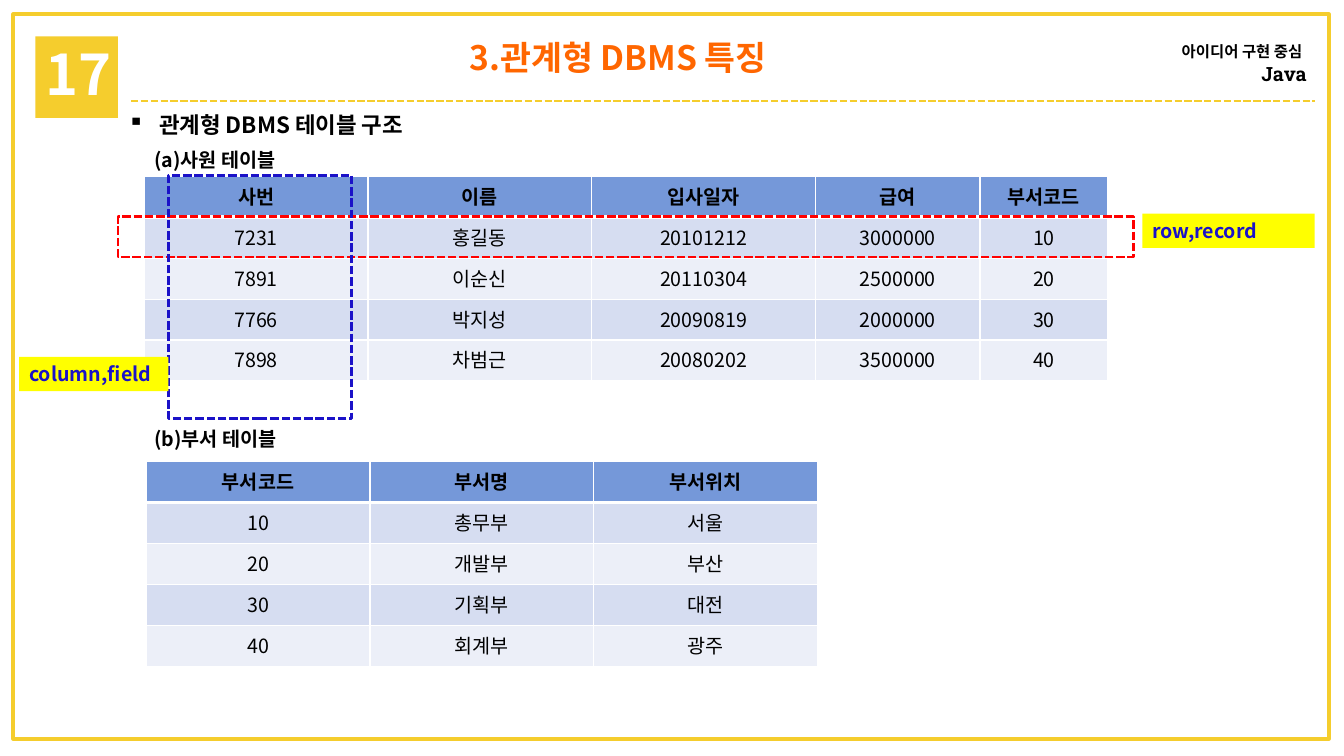
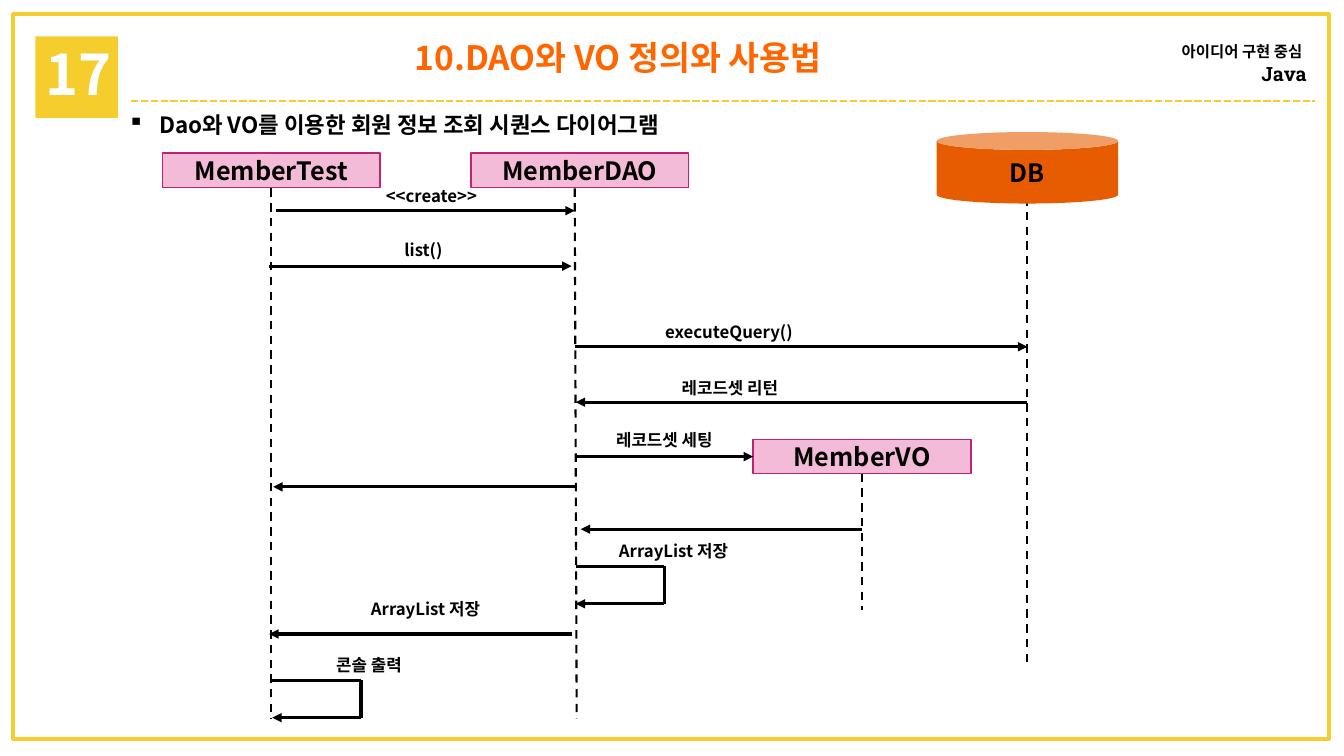
from lxml import etree
from pptx import Presentation
from pptx.dml.color import RGBColor
from pptx.enum.dml import MSO_LINE
from pptx.enum.shapes import MSO_CONNECTOR, MSO_SHAPE
from pptx.enum.text import MSO_ANCHOR, PP_ALIGN
from pptx.oxml.ns import qn
from pptx.util import Inches, Pt

RECT, CAN = MSO_SHAPE.RECTANGLE, MSO_SHAPE.CAN
STRAIGHT = MSO_CONNECTOR.STRAIGHT
DASH, DOTS = MSO_LINE.DASH, MSO_LINE.SQUARE_DOT
LEFT, MID, RIGHT = PP_ALIGN.LEFT, PP_ALIGN.CENTER, PP_ALIGN.RIGHT
TOP, CENTER = MSO_ANCHOR.TOP, MSO_ANCHOR.MIDDLE

SANS, SLAB = "Noto Sans CJK KR", "Roboto Slab"
BLACK = RGBColor(0x00, 0x00, 0x00)
WHITE = RGBColor(0xFF, 0xFF, 0xFF)
GOLD = RGBColor(0xF5, 0xCD, 0x2D)
ORANGE = RGBColor(0xFF, 0x66, 0x00)
RED = RGBColor(0xFF, 0x00, 0x00)
BLUE = RGBColor(0x1B, 0x12, 0xC8)
YELLOW = RGBColor(0xFF, 0xFF, 0x00)
HEAD = RGBColor(0x75, 0x98, 0xD9)
BANDS = [RGBColor(0xD6, 0xDD, 0xF1), RGBColor(0xEC, 0xEF, 0xF8)]
PINK = RGBColor(0xF3, 0xBB, 0xD7)
ROSE = RGBColor(0xBF, 0x23, 0x71)
RUST = RGBColor(0xE7, 0x5C, 0x01)

ROW = 0.406

STAFF = [
    ["사번", "이름", "입사일자", "급여", "부서코드"],
    ["7231", "홍길동", "20101212", "3000000", "10"],
    ["7891", "이순신", "20110304", "2500000", "20"],
    ["7766", "박지성", "20090819", "2000000", "30"],
    ["7898", "차범근", "20080202", "3500000", "40"],
]
DEPTS = [
    ["부서코드", "부서명", "부서위치"],
    ["10", "총무부", "서울"],
    ["20", "개발부", "부산"],
    ["30", "기획부", "대전"],
    ["40", "회계부", "광주"],
]

# Lifelines: top x, top y, bottom x, bottom y
LIVES = [(2.69, 1.87, 2.69, 7.13), (5.7, 1.87, 5.72, 7.13),
         (10.19, 1.81, 10.19, 6.6), (8.55, 4.7, 8.55, 6.05)]
# Calls: start x, end x, y
CALLS = [(2.74, 5.7, 2.09), (2.67, 5.67, 2.64), (5.7, 10.19, 3.44),
         (10.19, 5.71, 3.99), (5.71, 7.47, 4.53), (5.72, 2.71, 4.83),
         (8.55, 5.76, 5.25), (5.67, 2.67, 6.29)]
# Captions: text, left, top
NOTES = [("<<create>>", 2.8, 1.79), ("list()", 2.72, 2.33),
         ("executeQuery()", 5.75, 3.14), ("레코드셋 리턴", 5.76, 3.7),
         ("레코드셋 세팅", 5.11, 4.21), ("ArrayList 저장", 5.2, 5.32),
         ("ArrayList 저장", 2.74, 5.89), ("콘솔 출력", 2.18, 6.45)]


def inch(vals):
    return [Inches(v) for v in vals]


def style(run, size, color=BLACK, bold=True, face=SANS):
    font = run.font
    font.size, font.bold, font.name = Pt(size), bold, face
    font.color.rgb = color
    etree.SubElement(run._r.get_or_add_rPr(), qn("a:ea"), typeface=face)


def write(frame, text, size, color=BLACK, align=LEFT, anchor=TOP, bold=True):
    frame.word_wrap = True
    frame.vertical_anchor = anchor
    para = frame.paragraphs[0]
    para.text = text
    para.alignment = align
    style(para.runs[0], size, color, bold)
    return para


def label(slide, box, text, size, color=BLACK, align=LEFT):
    frame = slide.shapes.add_textbox(*inch(box)).text_frame
    return write(frame, text, size, color, align)


def shape(slide, box, fill=None, edge=None, width=1, dash=None, kind=RECT):
    item = slide.shapes.add_shape(kind, *inch(box))
    item.shadow.inherit = False
    if fill is None:
        item.fill.background()
    else:
        item.fill.solid()
        item.fill.fore_color.rgb = fill
    if edge is None:
        item.line.fill.background()
    else:
        item.line.color.rgb = edge
        item.line.width = Pt(width)
        item.line.dash_style = dash
    return item


def line(slide, ends, color=BLACK, width=2.25, dash=None, arrow=False):
    item = slide.shapes.add_connector(STRAIGHT, *inch(ends))
    item.line.color.rgb = color
    item.line.width = Pt(width)
    item.line.dash_style = dash
    if arrow:
        etree.SubElement(item.line._get_or_add_ln(), qn("a:tailEnd"),
                         type="triangle")
    etree.SubElement(item._element.spPr, qn("a:effectLst"))


def border(cell, top):
    props = cell._tc.get_or_add_tcPr()
    for side in "LRTB":
        width = Pt(3 if top and side == "B" else 1)
        edge = etree.SubElement(props, qn("a:ln" + side), w=str(width))
        fill = etree.SubElement(edge, qn("a:solidFill"))
        etree.SubElement(fill, qn("a:srgbClr"), val=str(WHITE))


def table(slide, left, top, cols, rows):
    box = inch((left, top, sum(cols), ROW * len(rows)))
    grid = slide.shapes.add_table(len(rows), len(cols), *box).table
    for col, width in zip(grid.columns, cols):
        col.width = Inches(width)
    for r, row in enumerate(rows):
        for c, text in enumerate(row):
            cell = grid.cell(r, c)
            border(cell, r == 0)
            cell.fill.solid()
            cell.fill.fore_color.rgb = BANDS[(r - 1) % 2] if r else HEAD
            write(cell.text_frame, text, 14, align=MID, bold=r == 0)


def tag(slide, box, text):
    frame = shape(slide, box, YELLOW).text_frame
    write(frame, text, 14, BLUE)


def actor(slide, left, top, text):
    item = shape(slide, (left, top, 2.16, 0.34), PINK, ROSE)
    write(item.text_frame, text, 18, align=MID, anchor=CENTER)


def loop(slide, x, y):
    far, low = x + 0.88, y + 0.37
    line(slide, (x, y, far, y))
    line(slide, (far, y, far, low))
    line(slide, (far, low, x, low), arrow=True)


def base(deck, title, topic):
    slide = deck.slides.add_slide(deck.slide_layouts[6])
    # Frame, chapter number and rule
    shape(slide, (0.13, 0.14, 13.05, 7.19), edge=GOLD, width=2.5)
    shape(slide, (0.35, 0.36, 0.82, 0.81), GOLD)
    label(slide, (0.35, 0.34, 0.97, 0.77), "17", 40, WHITE)
    line(slide, (1.3, 1, 13.04, 1), GOLD, 1.75, DOTS)
    # Course name
    box = slide.shapes.add_textbox(*inch((11.09, 0.33, 1.97, 0.57)))
    first = write(box.text_frame, "아이디어 구현 중심", 11, align=RIGHT)
    space = first.add_run()
    space.text = " "
    style(space, 14, bold=False)
    last = box.text_frame.add_paragraph()
    last.text = "Java"
    last.alignment = RIGHT
    style(last.runs[0], 14, face=SLAB)
    # Title and bulleted topic
    label(slide, (1.43, 0.32, 9.4, 0.5), title, 24, ORANGE, MID)
    para = label(slide, (1.17, 1.05, 10.48, 0.37), topic, 16)
    props = para._p.get_or_add_pPr()
    props.set("marL", str(Inches(0.31)))
    props.set("indent", str(-Inches(0.31)))
    etree.SubElement(props, qn("a:buChar"), char="▪")
    return slide


def tables(deck):
    slide = base(deck, "3.관계형 DBMS 특징", "관계형 DBMS 테이블 구조")
    table(slide, 1.43, 1.75, [2.22, 2.22, 2.22, 1.63, 1.27], STAFF)
    label(slide, (1.43, 1.42, 4.88, 0.34), "(a)사원 테이블", 14)
    label(slide, (1.43, 4.19, 4.88, 0.34), "(b)부서 테이블", 14)
    table(slide, 1.45, 4.58, [2.22] * 3, DEPTS)
    # Row and column marks
    shape(slide, (1.17, 2.15, 10.07, 0.4), edge=RED, width=2, dash=DOTS)
    tag(slide, (11.33, 2.12, 1.71, 0.34), "row,record")
    shape(slide, (1.67, 1.74, 1.82, 2.41), edge=BLUE, width=2, dash=DOTS)
    tag(slide, (0.19, 3.54, 1.48, 0.34), "column,field")


def flow(deck):
    slide = base(deck, "10.DAO와 VO 정의와 사용법",
                 "Dao와 VO를 이용한 회원 정보 조회 시퀀스 다이어그램")
    # Lifelines and their owners
    for ends in LIVES:
        line(slide, ends, width=1.5, dash=DASH)
    actor(slide, 1.61, 1.52, "MemberTest")
    actor(slide, 4.67, 1.52, "MemberDAO")
    actor(slide, 7.47, 4.36, "MemberVO")
    store = shape(slide, (9.29, 1.31, 1.8, 0.71), RUST, kind=CAN)
    write(store.text_frame, "DB", 18, align=MID, anchor=CENTER)
    # Messages
    for start, end, y in CALLS:
        line(slide, (start, y, end, y), arrow=True)
    loop(slide, 5.71, 5.62)
    loop(slide, 2.7, 6.75)
    for text, left, top in NOTES:
        label(slide, (left, top, 2.96, 0.3), text, 12, align=MID)


def main():
    deck = Presentation()
    deck.slide_width, deck.slide_height = inch((13.33, 7.5))
    tables(deck)
    flow(deck)
    deck.save("out.pptx")


if __name__ == "__main__":
    main()
